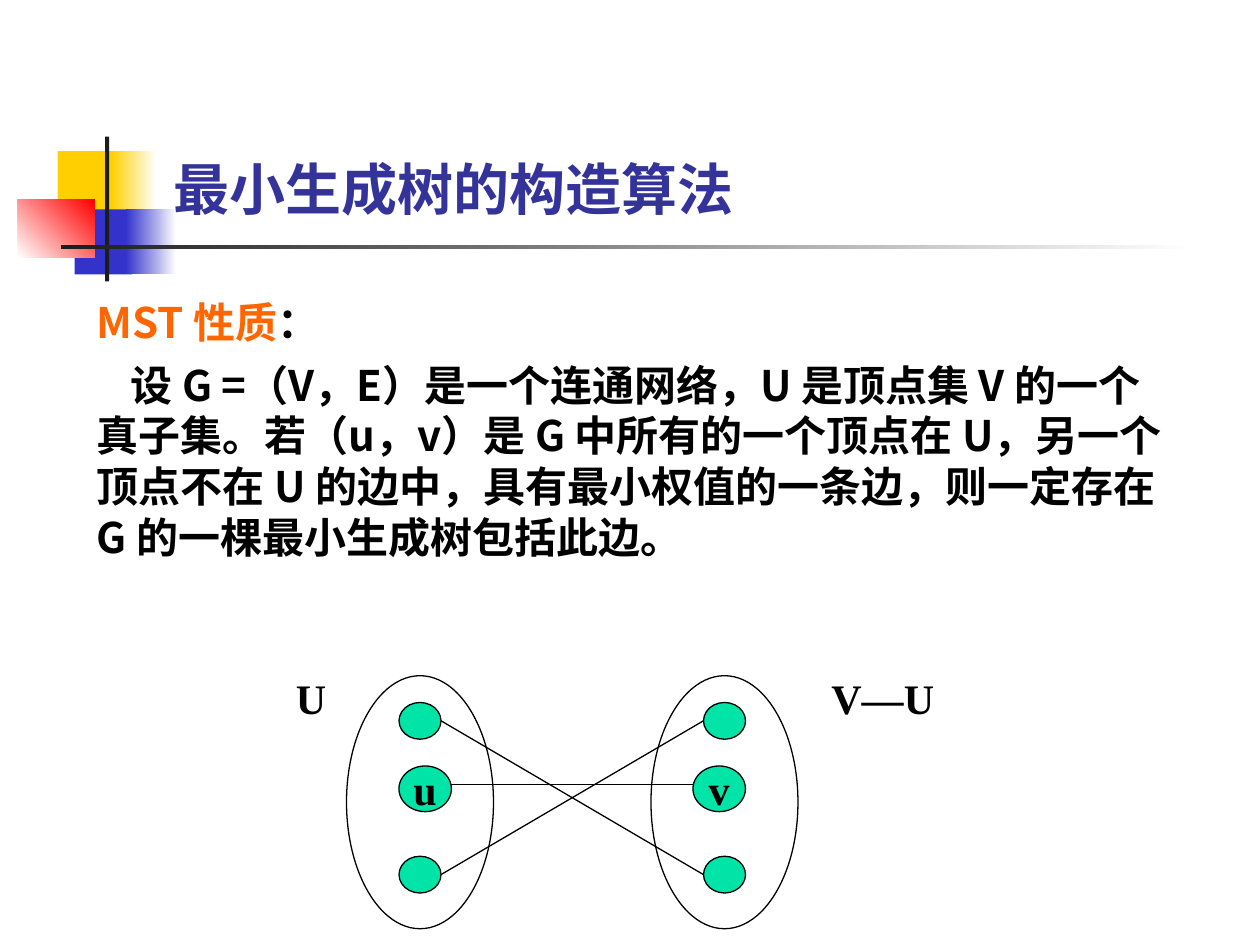
from pptx import Presentation
from pptx.dml.color import RGBColor as Rgb
from pptx.enum.shapes import MSO_CONNECTOR as Link, MSO_SHAPE as Kind
from pptx.enum.text import MSO_ANCHOR as Anchor, MSO_AUTO_SIZE as Fit, PP_ALIGN as Align
from pptx.oxml.ns import qn
from pptx.util import Inches, Pt
from lxml.etree import SubElement

COLORS = {
    "white": "FFFFFF", "black": "000000", "ink": "1C1C1C", "yellow": "FFCF01",
    "blue": "3333CC", "red": "FF0000", "title": "333399", "orange": "FF6600",
    "node": "00E4A8",
}
COLUMNS, ROWS = 120, 90
SANS, SERIF = "Noto Sans CJK SC", "Times New Roman"


def color(name):
    """Look up a palette colour."""
    return Rgb.from_string(COLORS[name])


class SlideBuilder:
    """Holds the style and the current slide; lengths are grid units."""

    def __init__(self, deck):
        """Add a title-and-content slide and fit the grid to it."""
        self.slide = deck.slides.add_slide(deck.slide_layouts[1])
        self.column = deck.slide_width / COLUMNS
        self.row = deck.slide_height / ROWS

    def spot(self, *units):
        """Turn alternating columns and rows into slide lengths."""
        return [round(unit * (self.row if i % 2 else self.column))
                for i, unit in enumerate(units)]

    def run(self, paragraph, text, ink="black", size=24, font=SERIF):
        """Add one bold run."""
        run = paragraph.add_run()
        run.text = text
        run.font.size, run.font.bold, run.font.name = Pt(size), True, font
        run.font.color.rgb = color(ink)
        SubElement(run.font._element, qn("a:ea")).set("typeface", SANS)

    def block(self, *box, fill, fade=None, angle=0):
        """Draw a borderless rectangle, plain or fading to a second colour."""
        block = self.slide.shapes.add_shape(Kind.RECTANGLE, *self.spot(*box))
        block.shadow.inherit = False
        block.line.fill.background()
        if fade is None:
            block.fill.solid()
            block.fill.fore_color.rgb = color(fill)
            return
        block.fill.gradient()
        block.fill.gradient_angle = angle
        for stop, name, position in zip(block.fill.gradient_stops, (fill, fade), (0, 1)):
            stop.color.rgb = color(name)
            stop.position = position

    def oval(self, *box, fill=None, text=None):
        """Draw an outlined ellipse with an optional letter."""
        oval = self.slide.shapes.add_shape(Kind.OVAL, *self.spot(*box))
        oval.shadow.inherit = False
        oval.line.color.rgb, oval.line.width = color("black"), Pt(0.75)
        if fill:
            oval.fill.solid()
            oval.fill.fore_color.rgb = color(fill)
        else:
            oval.fill.background()
        if text:
            frame = oval.text_frame
            frame.word_wrap, frame.vertical_anchor = False, Anchor.MIDDLE
            frame.paragraphs[0].alignment = Align.CENTER
            self.run(frame.paragraphs[0], text)

    def edge(self, *ends):
        """Draw a thin graph edge."""
        edge = self.slide.shapes.add_connector(Link.STRAIGHT, *self.spot(*ends))
        edge.line.color.rgb, edge.line.width = color("black"), Pt(0.75)
        SubElement(edge._element.spPr, qn("a:effectLst"))

    def label(self, *box, text):
        """Write a set name."""
        frame = self.slide.shapes.add_textbox(*self.spot(*box)).text_frame
        frame.word_wrap = True
        frame.paragraphs[0].space_before = Pt(2)
        self.run(frame.paragraphs[0], text)

    def place(self, index, box, anchor):
        """Move a placeholder to its box, in front, and return its frame."""
        holder = self.slide.placeholders[index]
        holder.left, holder.top, holder.width, holder.height = self.spot(*box)
        holder.element.getparent().append(holder.element)
        frame = holder.text_frame
        frame.auto_size, frame.word_wrap = Fit.NONE, True
        frame.vertical_anchor = anchor
        return frame

    def title(self, *box, text):
        """Fill the title placeholder."""
        heading = self.place(0, box, Anchor.MIDDLE).paragraphs[0]
        heading.alignment = Align.LEFT
        self.run(heading, text, "title", 32)

    def body(self, *box, paragraphs):
        """Fill the body with (first indent, space before, runs) paragraphs."""
        frame = self.place(1, box, Anchor.TOP)
        for i, (indent, before, runs) in enumerate(paragraphs):
            paragraph = frame.add_paragraph() if i else frame.paragraphs[0]
            paragraph.space_before, paragraph.line_spacing = Pt(before), Pt(29)
            paragraph.alignment = Align.LEFT
            props = paragraph._p.get_or_add_pPr()
            props.set("marL", "0")
            props.set("indent", str(Inches(indent)))
            SubElement(props, qn("a:buNone"))
            for text, ink in runs:
                self.run(paragraph, text, ink, font=SANS)


def draw_emblem(page):
    """Draw the coloured squares and crossing rules beside the title."""
    page.block(5.5, 14.4, 5.8, 6.2, fill="yellow")
    page.block(10.6, 14.4, 4.3, 6.2, fill="yellow", fade="white")
    page.block(7.1, 19.95, 5.5, 6.2, fill="blue")
    page.block(12, 19.95, 4.8, 6.2, fill="blue", fade="white")
    page.block(1.7, 19, 7.3, 5.5, fill="white", fade="red", angle=45)
    page.block(10, 13, 0.4, 13.8, fill="ink")
    page.block(5.8, 23.35, 108, 0.4, fill="ink", fade="white")


def draw_cut(page):
    """Draw the two vertex sets and the edges between them."""
    small_w, small_h, large_w = 4, 3.5, 5
    left, right, tops = 38, 71, (66.9, 81.55)
    for set_left, large_left, small_left, vertex in (
            (33, left, left, "u"), (62, right - large_w, right - small_w, "v")):
        page.oval(large_left, 72.95, large_w, 4.35, fill="node", text=vertex)
        page.oval(set_left, 64.35, 14, 24.1)
        for top in tops:
            page.oval(small_left, top, small_w, small_h, fill="node")
    page.edge(left + large_w, 74.7, right - large_w, 74.7)
    upper, lower = (top + small_h / 2 for top in tops)
    for start, end in ((lower, upper), (upper, lower)):
        page.edge(left + small_w, start, right - small_w, end)
    page.label(27, 63.5, 6, 6, text="U")
    page.label(78, 63.5, 14, 6, text="V—U")


def main():
    """Build and save the slide."""
    deck = Presentation()
    deck.slide_width, deck.slide_height = Inches(10), Inches(7.5)
    page = SlideBuilder(deck)
    draw_emblem(page)
    page.body(8, 27.6, 105, 26.9, paragraphs=[
        (0, 2.4, [("MST 性质", "orange"), ("\uff1a", "black")]),
        (0.27, 6.8, [(
            "设 G =\uff08V\uff0cE\uff09是一个连通网络\uff0cU 是顶点集 V 的一个真子集。"
            "若\uff08u\uff0cv\uff09是 G 中所有的一个顶点在 U\uff0c另一个顶点不在 U 的边中\uff0c"
            "具有最小权值的一条边\uff0c则一定存在 G 的一棵最小生成树包括此边。", "black")]),
    ])
    draw_cut(page)
    page.title(15.3, 11.9, 95.8, 12, text="最小生成树的构造算法")
    deck.save("out.pptx")


main()
